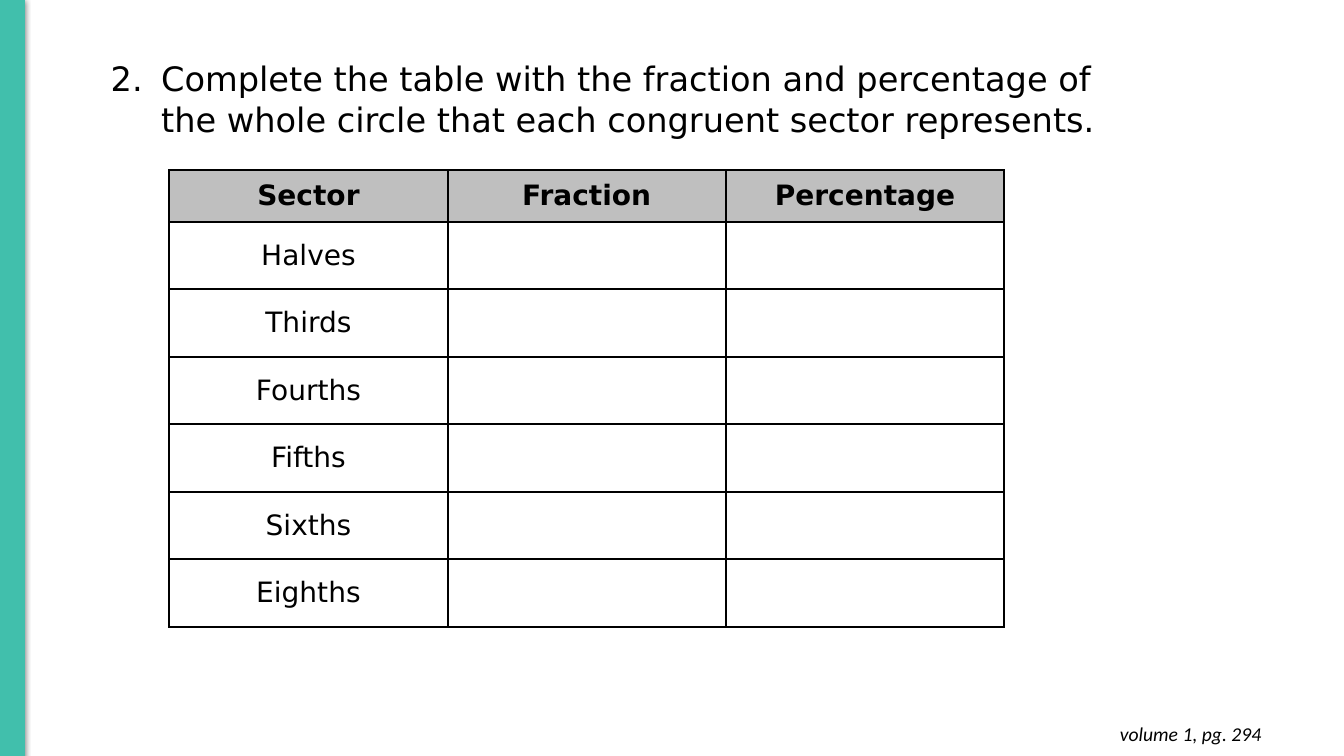
"""Build a slide with a table of circle sectors, fractions and percentages."""
import pptx
import pptx.dml.color
import pptx.enum.shapes
import pptx.enum.text
import pptx.util
from lxml import etree
from pptx.oxml.ns import qn

Inches = pptx.util.Inches
Pt = pptx.util.Pt
ALIGN = pptx.enum.text.PP_ALIGN


def color(value):
    return pptx.dml.color.RGBColor.from_string(value)


def set_font(para, name, size, bold=False, italic=False):
    para.font.name = name
    para.font.size = Pt(size)
    para.font.bold = bold
    para.font.italic = italic
    para.font.color.rgb = color("000000")


deck = pptx.Presentation()
deck.slide_width = Inches(13.33)
deck.slide_height = Inches(7.5)
page = deck.slides.add_slide(deck.slide_layouts[6])

stripe = page.shapes.add_shape(
    pptx.enum.shapes.MSO_SHAPE.RECTANGLE, Inches(0), Inches(-0.01), Inches(0.24), Inches(7.51)
)
stripe.fill.solid()
stripe.fill.fore_color.rgb = color("41BFAC")
stripe.line.color.rgb = color("41BFAC")
stripe.line.width = Pt(0.75)
stripe.shadow.inherit = False
effects = stripe._element.spPr.find(qn("a:effectLst"))
shadow = etree.SubElement(
    effects, qn("a:outerShdw"), blurRad=str(Pt(4.5)), dist=str(Pt(1.5)), dir="5400000", rotWithShape="0"
)
shade = etree.SubElement(shadow, qn("a:srgbClr"), val="000000")
etree.SubElement(shade, qn("a:alpha"), val="50000")

headers = ["Sector", "Fraction", "Percentage"]
sectors = ["Halves", "Thirds", "Fourths", "Fifths", "Sixths", "Eighths"]
rows = [headers] + [[sector, "", ""] for sector in sectors]
table = page.shapes.add_table(
    len(rows), len(headers), Inches(1.68), Inches(1.69), Inches(8.28), Inches(4.53)
).table
table.horz_banding = False
for column in table.columns:
    column.width = Inches(2.76)
for row_index, texts in enumerate(rows):
    is_header = row_index == 0
    table.rows[row_index].height = Inches(0.51 if is_header else 0.67)
    for column_index, text in enumerate(texts):
        cell = table.cell(row_index, column_index)
        cell.vertical_anchor = pptx.enum.text.MSO_ANCHOR.MIDDLE
        cell_properties = cell._tc.get_or_add_tcPr()
        for side in ("a:lnL", "a:lnR", "a:lnT", "a:lnB"):
            border = etree.SubElement(cell_properties, qn(side), w=str(Pt(1.5)))
            border_fill = etree.SubElement(border, qn("a:solidFill"))
            etree.SubElement(border_fill, qn("a:srgbClr"), val="000000")
        if is_header:
            cell.fill.solid()
            cell.fill.fore_color.rgb = color("BFBFBF")
        else:
            cell.fill.background()
        para = cell.text_frame.paragraphs[0]
        para.text = text
        para.alignment = ALIGN.CENTER
        set_font(para, "DejaVu Sans", 20, bold=is_header)

reference = page.shapes.add_textbox(Inches(9.73), Inches(7.06), Inches(2.88), Inches(0.44))
frame = reference.text_frame
frame.word_wrap = True
frame.margin_top = frame.margin_bottom = Inches(0.1)
para = frame.paragraphs[0]
para.text = "volume 1, pg. 294"
para.alignment = ALIGN.RIGHT
set_font(para, "Calibri", 14, italic=True)

question = page.shapes.add_textbox(Inches(1), Inches(0.53), Inches(11.5), Inches(0.91))
frame = question.text_frame
frame.word_wrap = True
para = frame.paragraphs[0]
para.text = (
    "Complete the table with the fraction and percentage of\v"
    "the whole circle that each congruent sector represents."
)
para_properties = para._p.get_or_add_pPr()
para_properties.set("marL", str(Inches(0.5)))
para_properties.set("indent", str(Inches(-0.5)))
bullet_color = etree.SubElement(para_properties, qn("a:buClr"))
etree.SubElement(bullet_color, qn("a:srgbClr"), val="000000")
etree.SubElement(para_properties, qn("a:buFont"), typeface="+mj-lt")
etree.SubElement(para_properties, qn("a:buAutoNum"), type="arabicPeriod", startAt="2")
set_font(para, "DejaVu Sans", 24)

deck.save("out.pptx")
